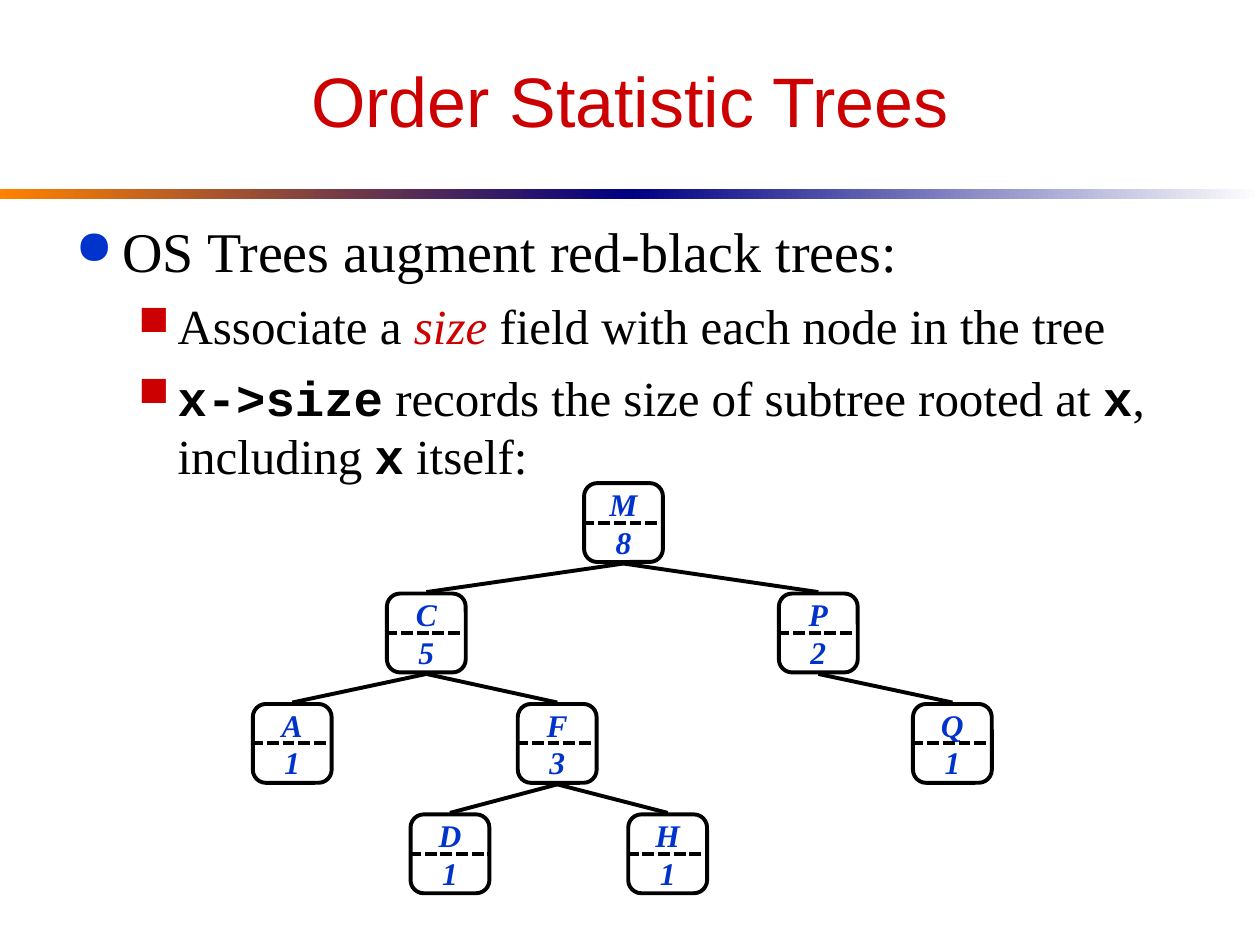
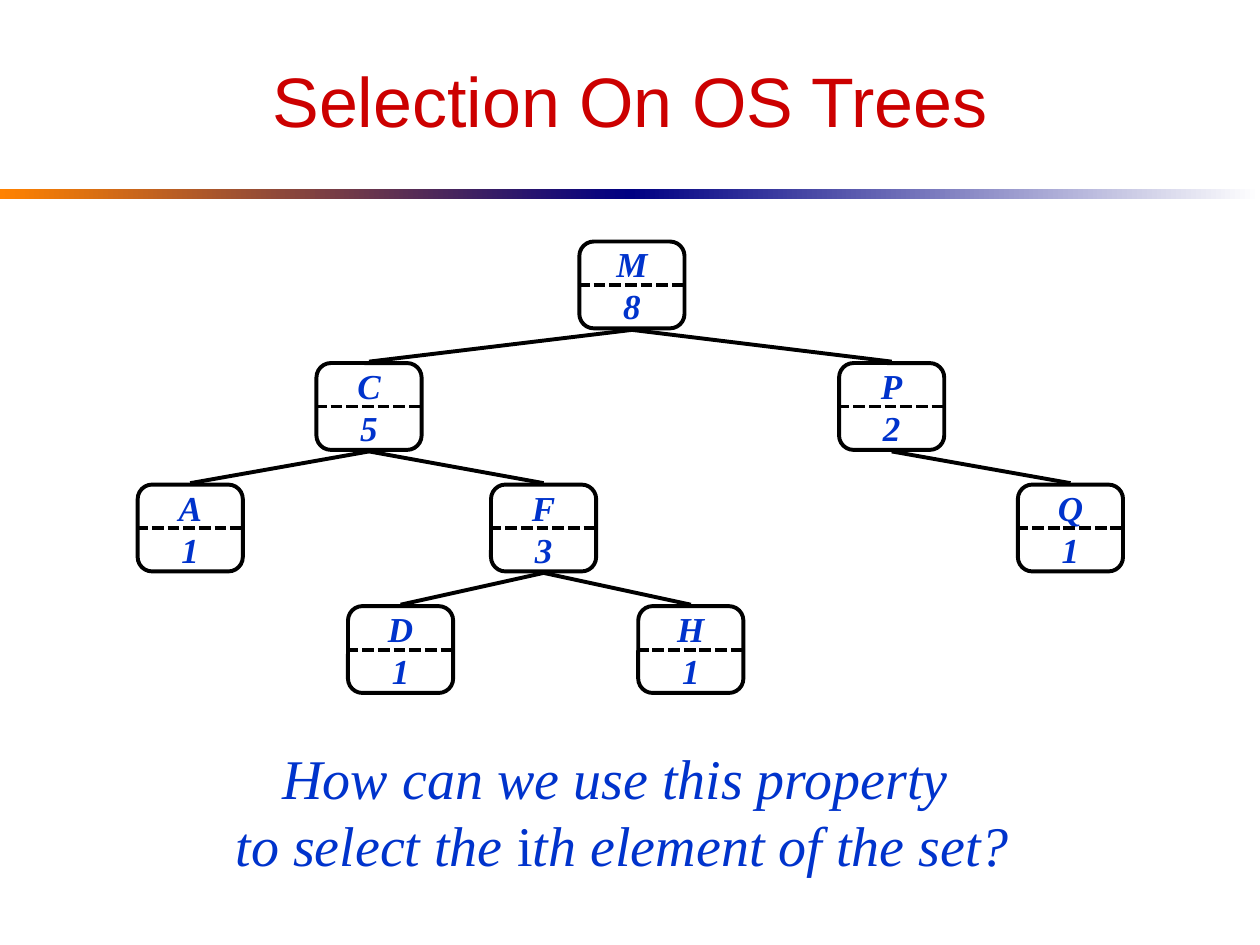
"""Build two slides on order statistic trees."""
from dataclasses import dataclass
from typing import Optional

from lxml import etree
from pptx import Presentation
from pptx.dml.color import RGBColor
from pptx.enum.dml import MSO_LINE
from pptx.enum.shapes import MSO_CONNECTOR, MSO_SHAPE
from pptx.enum.text import MSO_ANCHOR, PP_ALIGN
from pptx.oxml.ns import qn
from pptx.util import Cm, Pt

STRAIGHT = MSO_CONNECTOR.STRAIGHT
RECTANGLE, ROUNDED = MSO_SHAPE.RECTANGLE, MSO_SHAPE.ROUNDED_RECTANGLE
MIDDLE, TOP = MSO_ANCHOR.MIDDLE, MSO_ANCHOR.TOP
CENTER = PP_ALIGN.CENTER
DOTTED = MSO_LINE.SQUARE_DOT

RED, BLUE, BLACK, WHITE = "CC0000", "0033CC", "000000", "FFFFFF"
ORANGE, NAVY = "FF8200", "000082"
SANS, SERIF, MONO = "Arial", "Times New Roman", "Courier New"
SLIDE_WIDTH, SLIDE_HEIGHT = 25.4, 19.05
STROKE = 2.25
LEVEL_STEP = 1.4
OVERHANG = 0.03


@dataclass(frozen=True)
class Words:
    """A run of text with its look."""
    text: str
    font: str = SERIF
    color: str = BLACK
    bold: bool = False
    italic: bool = False


@dataclass(frozen=True)
class Bullet:
    """A bullet level; lengths in centimetres, sizes in points."""
    level: int
    mark: str
    color: str
    size: int
    margin: float
    hanging: float
    before: int


@dataclass(frozen=True)
class Node:
    """A tree node; offset from the root in node widths."""
    key: str
    size: int
    depth: int
    offset: float
    parent: Optional[str] = None


@dataclass(frozen=True)
class TreeLayout:
    """Place and scale of a tree, in centimetres and points."""
    root_x: float
    top: float
    width: float
    height: float
    font_size: int

    def center(self, node: Node) -> float:
        """Return the horizontal centre of a node."""
        return self.root_x + node.offset * self.width

    def node_top(self, node: Node) -> float:
        """Return the top of a node."""
        return self.top + node.depth * LEVEL_STEP * self.height


TOPIC = Bullet(0, "●", BLUE, 32, 0.95, 0.95, 8)
DETAIL = Bullet(1, "■", RED, 28, 2.06, 0.79, 7)

TREE = (
    Node("M", 8, 0, 0),
    Node("C", 5, 1, -2.5, "M"),
    Node("P", 2, 1, 2.47, "M"),
    Node("Q", 1, 2, 4.17, "P"),
    Node("A", 1, 2, -4.2, "C"),
    Node("F", 3, 2, -0.84, "C"),
    Node("D", 1, 3, -2.2, "F"),
    Node("H", 1, 3, 0.56, "F"),
)

AUGMENTATION = (
    (TOPIC, (Words("OS Trees augment red-black trees:"),)),
    (DETAIL, (Words("Associate a "), Words("size", color=RED, italic=True),
              Words(" field with each node in the tree"))),
    (DETAIL, (Words("x->size", MONO, bold=True),
              Words(" records the size of subtree rooted at "),
              Words("x", MONO, bold=True), Words(", including "),
              Words("x", MONO, bold=True), Words(" itself:"))),
)


def rgb(color: str) -> RGBColor:
    """Turn a hex string into a colour."""
    return RGBColor.from_string(color)


def add_words(paragraph, words: Words, size: int) -> None:
    """Append one run to a paragraph."""
    run = paragraph.add_run()
    run.text = words.text
    font = run.font
    font.name, font.size = words.font, Pt(size)
    font.bold, font.italic = words.bold, words.italic
    font.color.rgb = rgb(words.color)


def add_lines(frame, lines, size: int) -> None:
    """Write centred lines of runs as one paragraph."""
    paragraph = frame.paragraphs[0]
    paragraph.alignment = CENTER
    for index, line in enumerate(lines):
        if index:
            paragraph.add_line_break()
        for words in line:
            add_words(paragraph, words, size)


def add_text_frame(slide, left: float, top: float, width: float, height: float,
                   anchor=TOP, wrap: bool = True):
    """Add a text box and return its frame."""
    frame = slide.shapes.add_textbox(Cm(left), Cm(top), Cm(width), Cm(height)).text_frame
    frame.word_wrap, frame.vertical_anchor = wrap, anchor
    return frame


def set_bullet(paragraph, bullet: Bullet) -> None:
    """Give a paragraph its bullet and hanging indent."""
    paragraph.level = bullet.level
    properties = paragraph._p.get_or_add_pPr()
    properties.set("marL", str(Cm(bullet.margin)))
    properties.set("indent", str(-Cm(bullet.hanging)))
    tint = etree.SubElement(properties, qn("a:buClr"))
    etree.SubElement(tint, qn("a:srgbClr"), val=bullet.color)
    etree.SubElement(properties, qn("a:buSzPct"), val="85000")
    etree.SubElement(properties, qn("a:buChar"), char=bullet.mark)


def add_bullets(frame, items) -> None:
    """Write bulleted paragraphs."""
    for index, (bullet, runs) in enumerate(items):
        paragraph = frame.add_paragraph() if index else frame.paragraphs[0]
        set_bullet(paragraph, bullet)
        paragraph.space_before = Pt(bullet.before if index else 0)
        for words in runs:
            add_words(paragraph, words, bullet.size)


def add_line(slide, x1: float, y1: float, x2: float, y2: float, dash=None) -> None:
    """Draw a black line."""
    connector = slide.shapes.add_connector(STRAIGHT, Cm(x1), Cm(y1), Cm(x2), Cm(y2))
    connector.line.width = Pt(STROKE)
    connector.line.color.rgb = rgb(BLACK)
    if dash is not None:
        connector.line.dash_style = dash
    etree.SubElement(connector._element.spPr, qn("a:effectLst"))


def add_node(slide, node: Node, layout: TreeLayout) -> None:
    """Draw a node with its key over its subtree size."""
    left, top = layout.center(node) - layout.width / 2, layout.node_top(node)
    box = slide.shapes.add_shape(ROUNDED, Cm(left), Cm(top), Cm(layout.width), Cm(layout.height))
    box.shadow.inherit = False
    box.fill.background()
    box.line.width = Pt(STROKE)
    box.line.color.rgb = rgb(BLACK)
    box.text_frame.word_wrap = False
    box.text_frame.vertical_anchor = MIDDLE
    labels = [[Words(str(label), color=BLUE, bold=True, italic=True)]
              for label in (node.key, node.size)]
    add_lines(box.text_frame, labels, layout.font_size)
    middle = top + layout.height / 2
    add_line(slide, left - OVERHANG, middle, left + layout.width + OVERHANG, middle, DOTTED)


def add_tree(slide, layout: TreeLayout) -> None:
    """Draw all nodes, then the edges between them."""
    by_key = {node.key: node for node in TREE}
    for node in TREE:
        add_node(slide, node, layout)
    for child in TREE:
        if child.parent:
            parent = by_key[child.parent]
            add_line(slide, layout.center(parent),
                     layout.node_top(parent) + layout.height + OVERHANG,
                     layout.center(child), layout.node_top(child) - OVERHANG)


def add_titled_slide(deck, title: str):
    """Add a slide with the shared title and gradient band."""
    slide = deck.slides.add_slide(deck.slide_layouts[6])
    half = SLIDE_WIDTH / 2
    for index, colors in enumerate(((ORANGE, NAVY), (NAVY, WHITE))):
        band = slide.shapes.add_shape(RECTANGLE, Cm(index * half), Cm(3.81), Cm(half), Cm(0.2))
        band.shadow.inherit = False
        band.line.fill.background()
        band.fill.gradient()
        band.fill.gradient_angle = 0
        for stop, color in zip(band.fill.gradient_stops, colors):
            stop.color.rgb = rgb(color)
    frame = add_text_frame(slide, 1.27, 0.64, 22.86, 2.74, MIDDLE)
    add_lines(frame, [[Words(title, SANS, RED)]], 40)
    return slide


def main() -> None:
    """Build and save the deck."""
    deck = Presentation()
    deck.slide_width, deck.slide_height = Cm(SLIDE_WIDTH), Cm(SLIDE_HEIGHT)

    trees = add_titled_slide(deck, "Order Statistic Trees")
    add_bullets(add_text_frame(trees, 1.27, 4.24, 22.86, 12.07), AUGMENTATION)
    add_tree(trees, TreeLayout(12.57, 9.74, 1.59, 1.59, 18))

    selection = add_titled_slide(deck, "Selection On OS Trees")
    add_tree(selection, TreeLayout(12.74, 4.87, 2.12, 1.75, 20))
    question = add_text_frame(selection, 4.5, 14.86, 16.1, 2.97, wrap=False)
    add_lines(question, (
        [Words("How can we use this property ", color=BLUE, italic=True)],
        [Words("to select the ", color=BLUE, italic=True), Words("i", color=BLUE),
         Words("th element of the set?", color=BLUE, italic=True)],
    ), 32)
    deck.save("out.pptx")


if __name__ == "__main__":
    main()
